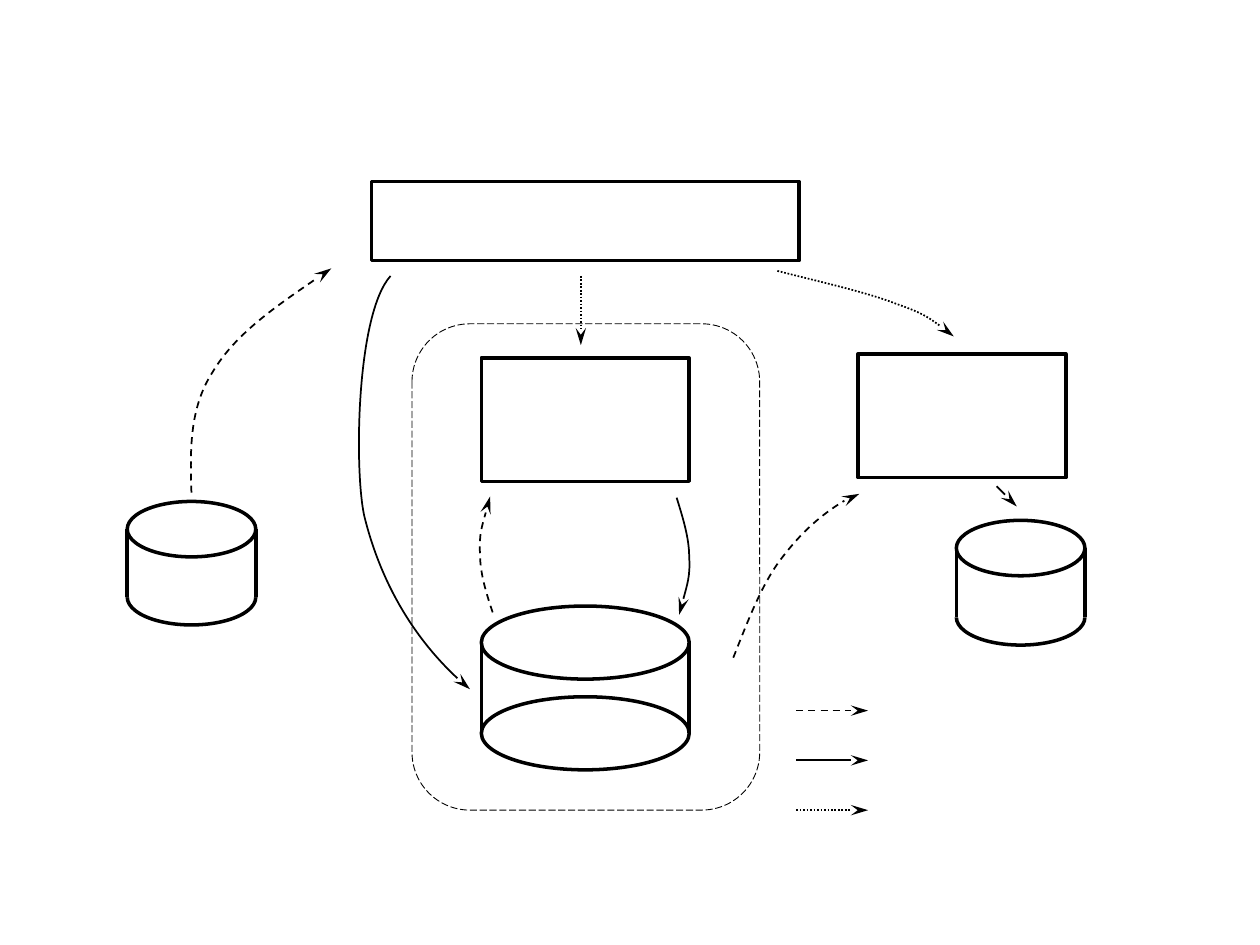
"""Build a data-flow diagram of process boxes, data stores and curved arrows."""
from dataclasses import dataclass
from typing import Optional

from lxml.etree import SubElement
from pptx import Presentation
from pptx.dml.color import RGBColor
from pptx.enum.dml import MSO_LINE as Dash
from pptx.enum.shapes import MSO_CONNECTOR as Conn, MSO_SHAPE as Shape
from pptx.oxml.ns import qn
from pptx.util import Inches, Pt

BLACK = RGBColor(0, 0, 0)
WHITE = RGBColor(255, 255, 255)
Point = tuple[float, float]


@dataclass
class Box:
    x: float
    y: float
    w: float
    h: float
    kind: Shape = Shape.RECTANGLE
    weight: float = 2
    dash: Optional[Dash] = None


@dataclass
class Store:
    x: float
    y: float
    w: float
    cap: float
    side: float
    open_back: bool = False


@dataclass
class Arrow:
    points: list[Point]
    dash: Optional[Dash] = None


BOXES = [
    Box(3.27, 2.57, 2.76, 3.86, Shape.ROUNDED_RECTANGLE, 0.5, Dash.LONG_DASH),
    Box(3.82, 2.84, 1.65, 0.98),
    Box(2.95, 1.44, 3.39, 0.63),
    Box(6.81, 2.81, 1.65, 0.98),
]
STORES = [
    Store(3.82, 4.81, 1.65, 0.58, 0.72, True),
    Store(7.59, 4.13, 1.02, 0.44, 0.55),
    Store(1.01, 3.98, 1.02, 0.44, 0.54),
]
LEGEND = [Arrow([(6.32, 5.64 + i * 0.395), (6.89, 5.64 + i * 0.395)], dash)
          for i, dash in enumerate((Dash.DASH, None, Dash.ROUND_DOT))]
STRAIGHT = LEGEND + [
    Arrow([(7.91, 3.86), (8.07, 4.02)]),
    Arrow([(4.61, 2.19), (4.61, 2.74)], Dash.ROUND_DOT),
]
CURVED = [
    Arrow([(3.1, 2.19), (2.83, 2.49), (2.81, 3.71), (2.89, 4.09),
           (2.98, 4.46), (3.21, 5.04), (3.73, 5.47)]),
    Arrow([(1.52, 3.91), (1.51, 3.58), (1.5, 3.24), (1.69, 2.95),
           (1.87, 2.65), (2.25, 2.39), (2.63, 2.13)], Dash.DASH),
    Arrow([(3.91, 4.86), (3.86, 4.71), (3.81, 4.55), (3.81, 4.4),
           (3.8, 4.24), (3.85, 4.09), (3.89, 3.94)], Dash.DASH),
    Arrow([(5.37, 3.95), (5.42, 4.11), (5.47, 4.27), (5.47, 4.42),
           (5.48, 4.57), (5.43, 4.73), (5.39, 4.88)]),
    Arrow([(5.82, 5.22), (5.94, 4.92), (6.05, 4.62), (6.22, 4.41),
           (6.39, 4.19), (6.69, 3.95), (6.82, 3.92)], Dash.DASH),
    Arrow([(6.17, 2.15), (6.52, 2.24), (6.88, 2.32), (7.11, 2.41),
           (7.34, 2.49), (7.46, 2.58), (7.57, 2.67)], Dash.ROUND_DOT),
]


def style_line(s, weight: float, dash: Optional[Dash] = None) -> None:
    s.line.color.rgb = BLACK
    s.line.width = Pt(weight)
    if dash is not None:
        s.line.dash_style = dash


def add_head(s) -> None:
    ln = s._element.spPr.find(qn("a:ln"))
    SubElement(ln, qn("a:tailEnd"), type="stealth", w="med", len="lg")


def add_box(shapes, box: Box) -> None:
    s = shapes.add_shape(box.kind, *map(Inches, (box.x, box.y, box.w, box.h)))
    s.shadow.inherit = False
    s.fill.background()
    style_line(s, box.weight, box.dash)


def add_line(shapes, start: Point, end: Point, weight: float,
             dash: Optional[Dash] = None):
    s = shapes.add_connector(Conn.STRAIGHT, *map(Inches, (*start, *end)))
    style_line(s, weight, dash)
    SubElement(s._element.spPr, qn("a:effectLst"))
    return s


def add_store(shapes, store: Store) -> None:
    group = shapes.add_group_shape().shapes
    x, y, w, cap = store.x, store.y, store.w, store.cap
    add_box(group, Box(x, y + store.side, w, cap, Shape.OVAL))
    if not store.open_back:
        mask = group.add_shape(Shape.RECTANGLE, Inches(x - 0.1),
                               Inches(y + store.side - 0.11),
                               Inches(w + 0.24), Inches(0.33))
        mask.shadow.inherit = False
        mask.fill.solid()
        mask.fill.fore_color.rgb = WHITE
        mask.line.fill.background()
    add_box(group, Box(x, y, w, cap, Shape.OVAL))
    top = y + cap / 2
    for side_x in (x, x + w):
        add_line(group, (side_x, top), (side_x, top + store.side), 2)


def add_curve(shapes, arrow: Arrow) -> None:
    start, *rest = [(Inches(x), Inches(y)) for x, y in arrow.points]
    builder = shapes.build_freeform(*start)
    builder.add_line_segments(rest, close=False)
    s = builder.convert_to_shape()
    outline = next(s._element.iter(qn("a:moveTo"))).getparent()
    segments = outline.findall(qn("a:lnTo"))
    for i in range(0, len(segments), 3):
        curve = SubElement(outline, qn("a:cubicBezTo"))
        for segment in segments[i:i + 3]:
            curve.append(segment[0])
            outline.remove(segment)
    s.shadow.inherit = False
    s.fill.background()
    style_line(s, 1, arrow.dash)
    add_head(s)


def main() -> None:
    prs = Presentation()
    prs.slide_width, prs.slide_height = Inches(10), Inches(7.5)
    shapes = prs.slides.add_slide(prs.slide_layouts[6]).shapes
    for box in BOXES:
        add_box(shapes, box)
    for store in STORES:
        add_store(shapes, store)
    for arrow in STRAIGHT:
        add_head(add_line(shapes, *arrow.points, 1, arrow.dash))
    for arrow in CURVED:
        add_curve(shapes, arrow)
    prs.save("out.pptx")


main()
